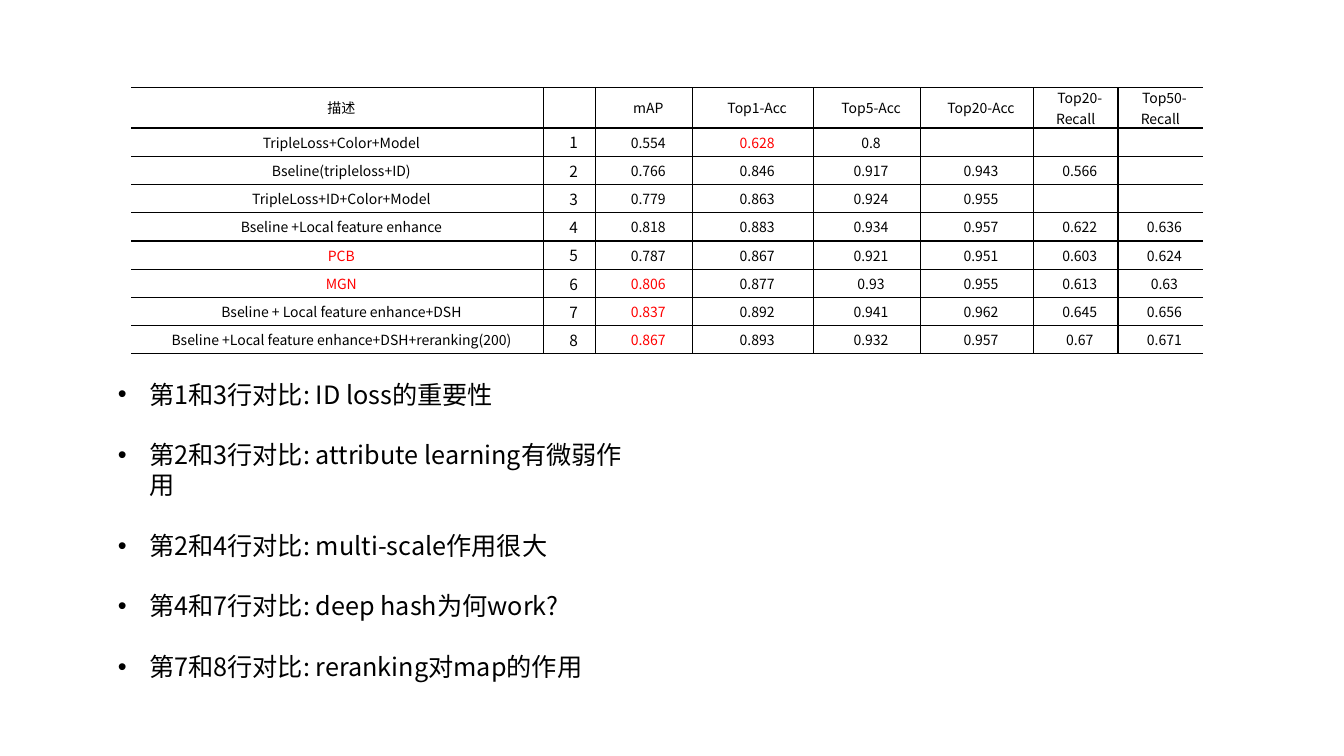
import pptx
import pptx.dml.color
import pptx.enum.text
import pptx.oxml
import pptx.oxml.ns
import pptx.util
from pptx.util import Inches

BLACK = pptx.dml.color.RGBColor(0x00, 0x00, 0x00)
RED = pptx.dml.color.RGBColor(0xFF, 0x00, 0x00)
FONT = "Noto Sans CJK SC"
LIST_LINE = pptx.util.Pt(21.6)

COLUMN_WIDTHS = [4.09, 0.52, 0.96, 1.2, 1.06, 1.12, 0.84, 0.84]
HEADER_HEIGHT, ROW_HEIGHT = 0.35, 0.28
RESULTS = [
    ["描述", "", "mAP", "Top1-Acc", "Top5-Acc", "Top20-Acc", "Top20-Recall", "Top50-Recall"],
    ["TripleLoss+Color+Model", "1", "0.554", "0.628", "0.8", "", "", ""],
    ["Bseline(tripleloss+ID)", "2", "0.766", "0.846", "0.917", "0.943", "0.566", ""],
    ["TripleLoss+ID+Color+Model", "3", "0.779", "0.863", "0.924", "0.955", "", ""],
    ["Bseline +Local feature enhance", "4", "0.818", "0.883", "0.934", "0.957", "0.622", "0.636"],
    ["PCB", "5", "0.787", "0.867", "0.921", "0.951", "0.603", "0.624"],
    ["MGN", "6", "0.806", "0.877", "0.93", "0.955", "0.613", "0.63"],
    ["Bseline + Local feature enhance+DSH", "7", "0.837", "0.892", "0.941", "0.962", "0.645", "0.656"],
    ["Bseline +Local feature enhance+DSH+reranking(200)", "8",
     "0.867", "0.893", "0.932", "0.957", "0.67", "0.671"],
]
RED_CELLS = {(1, 3), (5, 0), (6, 0), (6, 2), (7, 2), (8, 2)}
FINDINGS = [
    "第1和3行对比: ID loss的重要性",
    "第2和3行对比: attribute learning有微弱作用",
    "第2和4行对比: multi-scale作用很大",
    "第4和7行对比: deep hash为何work?",
    "第7和8行对比: reranking对map的作用",
]


def add_child(parent, tag, **attributes):
    """Append a DrawingML element with the given attributes."""
    child = pptx.oxml.parse_xml(f"<{tag} {pptx.oxml.ns.nsdecls('a')}/>")
    for name, value in attributes.items():
        child.set(name, str(value))
    parent.append(child)
    return child


def add_run(paragraph, text, size, color):
    """Add one run in the slide font."""
    run = paragraph.add_run()
    run.text = text
    run.font.size = pptx.util.Pt(size)
    run.font.bold = False
    run.font.name = FONT
    run.font.color.rgb = color
    add_child(run.font._element, "a:ea", typeface=FONT)


def set_indent(paragraph, left, first_line):
    """Set the left margin and first-line indent of a paragraph."""
    properties = paragraph._p.get_or_add_pPr()
    properties.set("marL", str(Inches(left)))
    properties.set("indent", str(Inches(first_line)))


def set_borders(cell, first_column, last_column):
    """Rule a cell on all sides except the outer left and right."""
    properties = cell._tc.get_or_add_tcPr()
    sides = {"L": not first_column, "R": not last_column, "T": True, "B": True}
    for side, ruled in sides.items():
        line = add_child(properties, f"a:ln{side}", w=pptx.util.Pt(1))
        if ruled:
            fill = add_child(line, "a:solidFill")
            add_child(fill, "a:srgbClr", val=BLACK)
        else:
            add_child(line, "a:noFill")


def fill_cell(cell, text, size, color):
    """Write centred text into a plain cell."""
    cell.fill.background()
    cell.vertical_anchor = pptx.enum.text.MSO_ANCHOR.MIDDLE
    cell.margin_left = cell.margin_right = Inches(0.13)
    cell.margin_top = cell.margin_bottom = 0
    paragraph = cell.text_frame.paragraphs[0]
    paragraph.alignment = pptx.enum.text.PP_ALIGN.CENTER
    set_indent(paragraph, 0, 0.08)
    if text:
        add_run(paragraph, text, size, color)
    else:
        add_child(paragraph._p, "a:endParaRPr", sz=size * 100)


def add_results_table(slide):
    """Add the table of experiment results."""
    row_heights = [HEADER_HEIGHT] + [ROW_HEIGHT] * (len(RESULTS) - 1)
    frame = slide.shapes.add_table(
        len(RESULTS), len(COLUMN_WIDTHS), Inches(1.3), Inches(0.87),
        Inches(sum(COLUMN_WIDTHS)), Inches(sum(row_heights)))
    table = frame.table
    table.first_row = table.horz_banding = False
    for column, width in zip(table.columns, COLUMN_WIDTHS):
        column.width = Inches(width)
    for row, height in zip(table.rows, row_heights):
        row.height = Inches(height)
    for row_index, texts in enumerate(RESULTS):
        for column_index, text in enumerate(texts):
            cell = table.cell(row_index, column_index)
            set_borders(cell, column_index == 0, column_index == len(texts) - 1)
            size = 11 if column_index == 1 else 10
            color = RED if (row_index, column_index) in RED_CELLS else BLACK
            fill_cell(cell, text, size, color)


def fill_findings(body):
    """Place the body placeholder and list the findings in it."""
    body.left, body.top = Inches(1.07), Inches(3.71)
    body.width, body.height = Inches(5.39), Inches(3.43)
    text_frame = body.text_frame
    text_frame.word_wrap = True
    text_frame.auto_size = pptx.enum.text.MSO_AUTO_SIZE.NONE
    for index, finding in enumerate(FINDINGS):
        paragraph = text_frame.add_paragraph() if index else text_frame.paragraphs[0]
        set_indent(paragraph, 0.31, -0.31)
        paragraph.line_spacing = paragraph.space_after = LIST_LINE
        paragraph.space_before = 0
        add_run(paragraph, finding, 18, BLACK)


def main():
    """Build and save the slide."""
    presentation = pptx.Presentation()
    presentation.slide_width = Inches(13.33)
    presentation.slide_height = Inches(7.5)
    slide = presentation.slides.add_slide(presentation.slide_layouts[1])
    title = slide.shapes.title._element
    title.getparent().remove(title)
    add_results_table(slide)
    fill_findings(slide.placeholders[1])
    presentation.save("out.pptx")


main()
